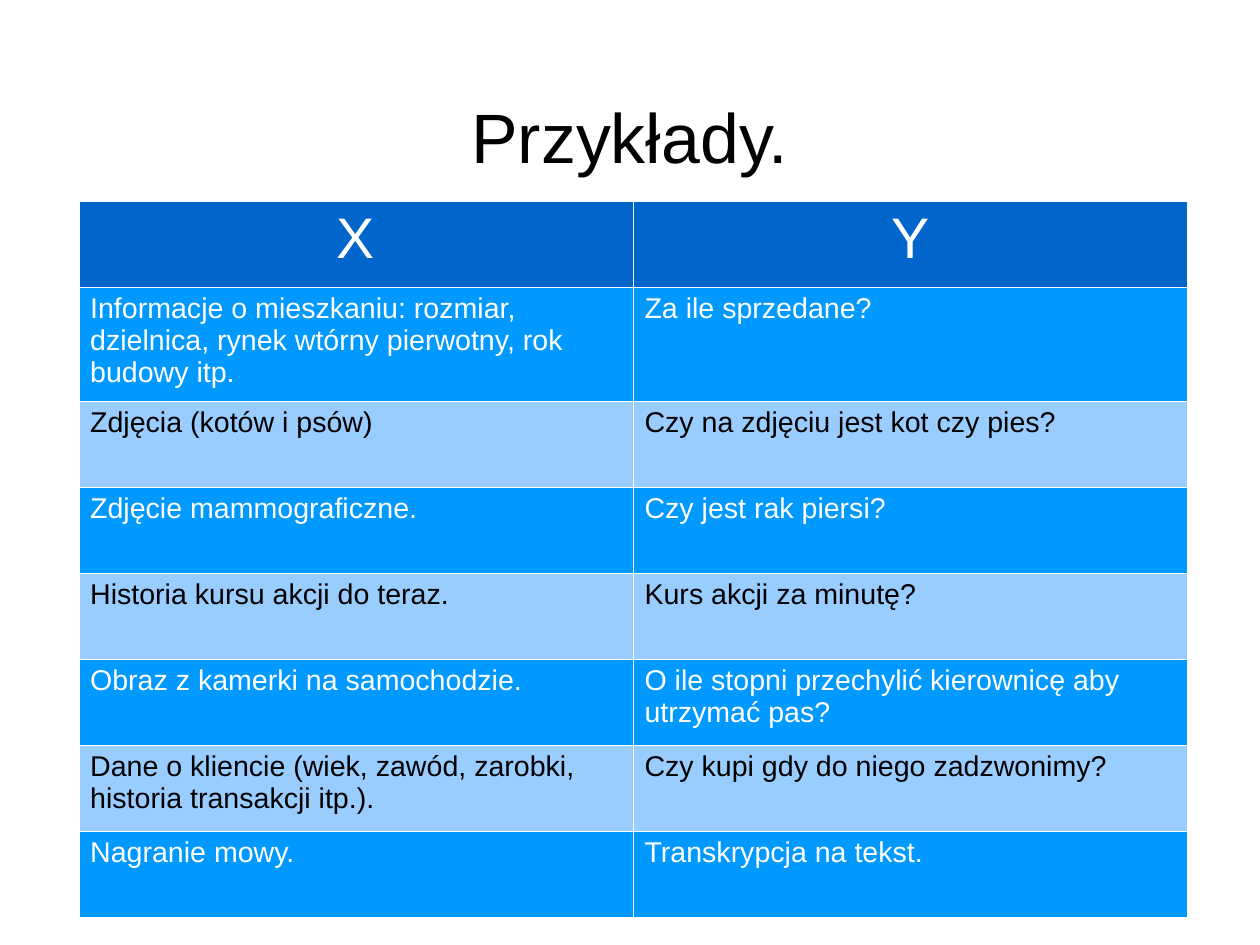
from lxml import etree
from pptx import Presentation
from pptx import util as u
from pptx.dml.color import RGBColor
from pptx.enum import text
from pptx.oxml import ns

FONT = "Arial"
WHITE, BLACK = "FFFFFF", "000000"
HEADER_BLUE, STRONG_BLUE, PALE_BLUE = "0066CC", "0099FF", "99CCFF"

EXAMPLES = [
    ("X", "Y"),
    ("Informacje o mieszkaniu: rozmiar, dzielnica, rynek wtórny pierwotny, "
     "rok budowy itp.", "Za ile sprzedane?"),
    ("Zdjęcia (kotów i psów)", "Czy na zdjęciu jest kot czy pies?"),
    ("Zdjęcie mammograficzne.", "Czy jest rak piersi?"),
    ("Historia kursu akcji do teraz.", "Kurs akcji za minutę?"),
    ("Obraz z kamerki na samochodzie.",
     "O ile stopni przechylić kierownicę aby utrzymać pas?"),
    ("Dane o kliencie (wiek, zawód, zarobki, historia transakcji itp.).",
     "Czy kupi gdy do niego zadzwonimy?"),
    ("Nagranie mowy.", "Transkrypcja na tekst."),
]
ROW_HEIGHT, TALL_ROW_HEIGHT = 1.91, 2.53


def colour(value):
    return RGBColor.from_string(value)


def write(frame, words, size, shade, align):
    para = frame.paragraphs[0]
    para.text = words
    para.alignment = align
    para.font.name = FONT
    para.font.size = u.Pt(size)
    para.font.color.rgb = colour(shade)


def add_borders(cell, shade, points):
    properties = cell._tc.get_or_add_tcPr()
    for position, side in enumerate(("lnL", "lnR", "lnT", "lnB")):
        line = etree.Element(ns.qn(f"a:{side}"), w=str(u.Pt(points)))
        fill = etree.SubElement(line, ns.qn("a:solidFill"))
        etree.SubElement(fill, ns.qn("a:srgbClr"), val=shade)
        properties.insert(position, line)


def add_title(page, left, top, width, height):
    box = page.shapes.add_textbox(u.Cm(left), u.Cm(top), u.Cm(width), u.Cm(height))
    frame = box.text_frame
    frame.word_wrap = True
    frame.vertical_anchor = text.MSO_ANCHOR.MIDDLE
    frame.margin_left = frame.margin_right = 0
    frame.margin_top = frame.margin_bottom = 0
    write(frame, "Przykłady.", 44, BLACK, text.PP_ALIGN.CENTER)


def row_style(number):
    """Give the fill, text colour, text size and alignment of a row."""
    if number == 0:
        return HEADER_BLUE, WHITE, 36, text.PP_ALIGN.CENTER
    if number % 2:
        return STRONG_BLUE, WHITE, 18, text.PP_ALIGN.LEFT
    return PALE_BLUE, BLACK, 18, text.PP_ALIGN.LEFT


def add_examples(page, left, top, width):
    heights = [TALL_ROW_HEIGHT if number == 1 else ROW_HEIGHT
               for number in range(len(EXAMPLES))]
    table = page.shapes.add_table(
        len(EXAMPLES), 2, u.Cm(left), u.Cm(top), u.Cm(width), u.Cm(sum(heights))).table
    for number, (entries, height) in enumerate(zip(EXAMPLES, heights)):
        table.rows[number].height = u.Cm(height)
        fill, shade, size, align = row_style(number)
        for cell, words in zip(table.rows[number].cells, entries):
            cell.fill.solid()
            cell.fill.fore_color.rgb = colour(fill)
            add_borders(cell, WHITE, 0.06)
            write(cell.text_frame, words, size, shade, align)
    # Plain look: the header and bands come from the cell fills
    table.first_row = table.horz_banding = False


def main():
    deck = Presentation()
    deck.slide_width, deck.slide_height = u.Cm(28), u.Cm(21)
    page = deck.slides.add_slide(deck.slide_layouts[6])
    # Title above, table of examples below
    add_title(page, 1.4, 0.84, 25.2, 4.34 - 0.0)
    add_examples(page, 1.75, 4.46, 24.64)
    deck.save("out.pptx")


if __name__ == "__main__":
    main()
